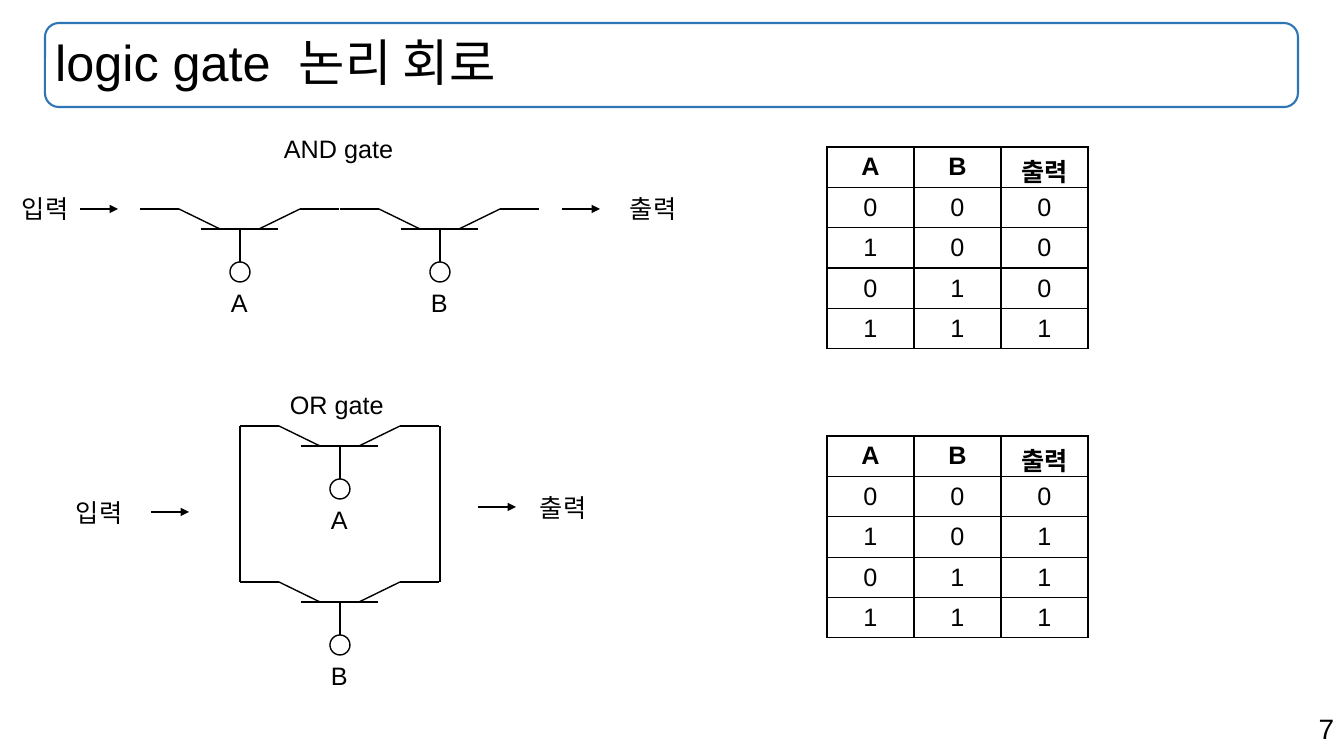
from lxml import etree
from pptx import Presentation
from pptx.dml.color import RGBColor
from pptx.enum.shapes import MSO_CONNECTOR, MSO_SHAPE
from pptx.enum.text import MSO_ANCHOR, MSO_AUTO_SIZE, PP_ALIGN
from pptx.oxml import parse_xml
from pptx.oxml.ns import nsdecls, qn
from pptx.util import Pt

STRAIGHT = MSO_CONNECTOR.STRAIGHT
ELLIPSE, ROUNDED = MSO_SHAPE.OVAL, MSO_SHAPE.ROUNDED_RECTANGLE
MIDDLE = MSO_ANCHOR.MIDDLE
LEFT, CENTER, RIGHT = PP_ALIGN.LEFT, PP_ALIGN.CENTER, PP_ALIGN.RIGHT
FIT_SHAPE = MSO_AUTO_SIZE.SHAPE_TO_FIT_TEXT

BLACK = RGBColor(0x00, 0x00, 0x00)
WHITE = RGBColor(0xFF, 0xFF, 0xFF)
BLUE = RGBColor(0x2E, 0x75, 0xB6)
FONT = "Arial"

PX = 914400 / 100.8
SLIDE = (1344, 756)
TITLE_BOX = (45, 23, 1253, 84)
TITLE_PARTS = ("logic gate", " ", "논리 회로")
TITLE_GAP = 10  # points added after the space between the two languages

# text, left, top, width
LABELS = [
    ("AND gate", 274, 128, 131), ("OR gate", 280, 384, 115),
    ("입력", 12, 188, 72), ("출력", 620, 188, 72),
    ("입력", 66, 492, 72), ("출력", 530, 487, 72),
]
LABEL_HEIGHT = 40
PAGE_NUMBER = ("7", 951, 707, 393)

# name, left end of the wire
SWITCHES = [("A", 140, 209), ("B", 340, 209), ("A", 240, 426), ("B", 240, 582)]
# segments of one switch, measured from the left end of its wire
SWITCH_LINES = [
    (0, 0, 39, 0), (160, 0, 199, 0), (61, 20, 138, 20), (80, 20, 119, 20),
    (80, 20, 39, 0), (160, 0, 119, 20),
]
SWITCH_CIRCLE = (90, 53, 20, 20)
SWITCH_STEM = (100, 53, 100, 20)
SWITCH_LABEL = (81, 73, 37)
RAILS = [(240, 426, 240, 582), (440, 426, 440, 582)]

ARROWS = [(80, 209), (562, 209), (151, 512), (478, 507)]
ARROW_LENGTH = 38

HEADER = ("A", "B", "출력")
INPUTS = [(0, 0), (1, 0), (0, 1), (1, 1)]
# top, outputs
TRUTH_TABLES = [(147, (0, 0, 0, 1)), (436, (0, 1, 1, 1))]
TABLE_LEFT, COLUMN, ROW = 827, 87, 40


def emu(*lengths):
    return [round(n * PX) for n in lengths]


def style(font, size, bold=False):
    for name, value in {"name": FONT, "size": Pt(size), "bold": bold}.items():
        setattr(font, name, value)
    font.color.rgb = BLACK


def outline(shape, color, width):
    shape.shadow.inherit = False
    shape.line.color.rgb = color
    shape.line.width = Pt(width)


def add_label(shapes, text, left, top, width, size=18, align=LEFT, wrap=False):
    box = shapes.add_textbox(*emu(left, top, width, LABEL_HEIGHT))
    tf = box.text_frame
    tf.word_wrap = wrap
    tf.auto_size = FIT_SHAPE
    p = tf.paragraphs[0]
    p.alignment = align
    r = p.add_run()
    r.text = text
    style(r.font, size)


def add_line(shapes, x1, y1, x2, y2, arrow=False):
    line = shapes.add_connector(STRAIGHT, *emu(x1, y1, x2, y2))
    line.line.color.rgb = BLACK
    line.line.width = Pt(1)
    if arrow:
        etree.SubElement(line.line._get_or_add_ln(), qn("a:tailEnd"), type="triangle")
    etree.SubElement(line._element.spPr, qn("a:effectLst"))
    return line


def add_switch(shapes, x, y):
    group = shapes.add_group_shape().shapes
    left, top, width, height = SWITCH_CIRCLE
    circle = group.add_shape(ELLIPSE, *emu(x + left, y + top, width, height))
    circle.fill.solid()
    circle.fill.fore_color.rgb = WHITE
    outline(circle, BLACK, 1)
    for x1, y1, x2, y2 in SWITCH_LINES:
        add_line(group, x + x1, y + y1, x + x2, y + y2)
    x1, y1, x2, y2 = SWITCH_STEM
    add_line(group, x + x1, y + y1, x + x2, y + y2).begin_connect(circle, 0)


def add_borders(cell):
    tcPr = cell._tc.get_or_add_tcPr()
    for i, side in enumerate(("lnL", "lnR", "lnT", "lnB")):
        tcPr.insert(i, parse_xml(
            f'<a:{side} {nsdecls("a")} w="12700"><a:solidFill>'
            f'<a:srgbClr val="{BLACK}"/></a:solidFill></a:{side}>'))


def add_truth_table(shapes, top, outputs):
    rows = [HEADER] + [(*pair, out) for pair, out in zip(INPUTS, outputs)]
    size = (COLUMN * len(HEADER), ROW * len(rows))
    table = shapes.add_table(
        len(rows), len(HEADER), *emu(TABLE_LEFT, top, *size)).table
    table.first_row = table.horz_banding = False
    for i, row in enumerate(rows):
        for j, value in enumerate(row):
            cell = table.cell(i, j)
            cell.fill.solid()
            cell.fill.fore_color.rgb = WHITE
            cell.vertical_anchor = MIDDLE
            add_borders(cell)
            p = cell.text_frame.paragraphs[0]
            p.alignment = CENTER
            r = p.add_run()
            r.text = str(value)
            style(r.font, 18, bold=i == 0)


def add_title(s):
    frame = s.shapes.add_shape(ROUNDED, *emu(*TITLE_BOX))
    frame.fill.background()
    outline(frame, BLUE, 1.5)
    title = s.shapes.title
    title.left, title.top, title.width, title.height = emu(*TITLE_BOX)
    tf = title.text_frame
    tf.vertical_anchor = MIDDLE
    p = tf.paragraphs[0]
    p.alignment = LEFT
    p.line_spacing = 0.9
    for part in TITLE_PARTS:
        r = p.add_run()
        r.text = part
        style(r.font, 36)
        if part == " ":
            r._r.get_or_add_rPr().set("spc", str(TITLE_GAP * 100))


def main():
    prs = Presentation()
    prs.slide_width, prs.slide_height = emu(*SLIDE)
    s = prs.slides.add_slide(prs.slide_layouts[5])
    shapes = s.shapes
    add_title(s)
    for name, x, y in SWITCHES:
        add_switch(shapes, x, y)
        left, top, width = SWITCH_LABEL
        add_label(shapes, name, x + left, y + top, width)
    for rail in RAILS:
        add_line(shapes, *rail)
    for x, y in ARROWS:
        add_line(shapes, x, y, x + ARROW_LENGTH, y, arrow=True)
    for label in LABELS:
        add_label(shapes, *label)
    for top, outputs in TRUTH_TABLES:
        add_truth_table(shapes, top, outputs)
    add_label(shapes, *PAGE_NUMBER, size=20, align=RIGHT, wrap=True)
    prs.save("out.pptx")


if __name__ == "__main__":
    main()
